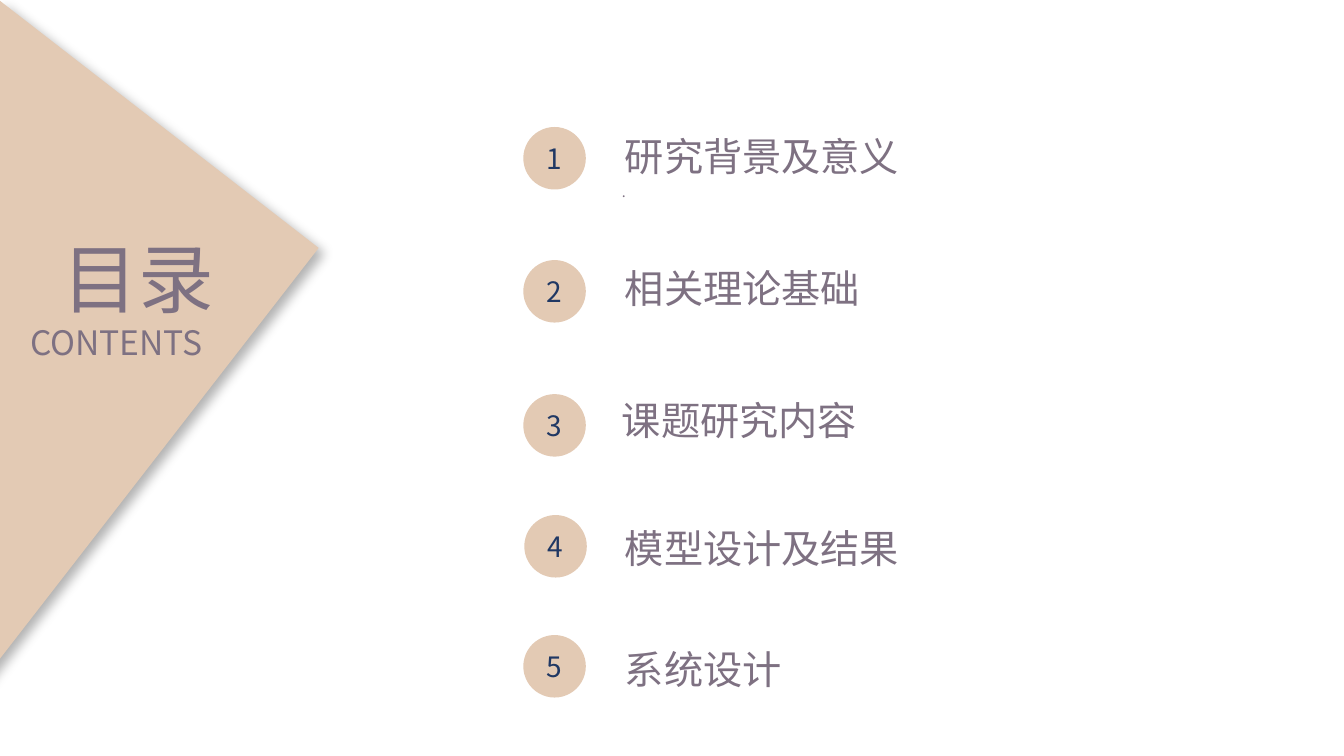
from dataclasses import dataclass

import pptx
import pptx.dml.color
import pptx.enum.shapes
import pptx.enum.text
import pptx.oxml
import pptx.oxml.ns
import pptx.util
from pptx.util import Inches


@dataclass(frozen=True)
class Theme:
    font: str = "Noto Sans CJK SC"
    sand: str = "E3CAB4"
    mauve: str = "7E7182"
    navy: str = "203864"
    title_size: int = 54
    subtitle_size: int = 24
    entry_size: int = 28
    number_size: int = 20
    dot_size: int = 10


THEME = Theme()
BADGE_SIZE = 0.62

# label, badge left and top, label left, top and width
ENTRIES = [
    ("研究背景及意义", 5.19, 1.26, 6.1, 1.26, 2.92),
    ("相关理论基础", 5.19, 2.58, 6.1, 2.57, 2.56),
    ("课题研究内容", 5.19, 3.91, 6.07, 3.88, 2.53),
    ("模型设计及结果", 5.2, 5.11, 6.1, 5.15, 2.95),
    ("系统设计", 5.19, 6.3, 6.1, 6.35, 1.77),
]


def write_text(shape, text, size, color=THEME.mauve, align="LEFT", anchor="TOP",
               wrap=False, grow=True):
    frame = shape.text_frame
    frame.word_wrap = wrap
    fit = pptx.enum.text.MSO_AUTO_SIZE
    frame.auto_size = fit.SHAPE_TO_FIT_TEXT if grow else fit.NONE
    frame.vertical_anchor = pptx.enum.text.MSO_ANCHOR[anchor]
    para = frame.paragraphs[0]
    para.alignment = pptx.enum.text.PP_ALIGN[align]
    span = para.add_run()
    span.text = text
    span.font.size = pptx.util.Pt(size)
    span.font.name = THEME.font
    span.font.color.rgb = pptx.dml.color.RGBColor.from_string(color)
    east_asian = pptx.oxml.parse_xml(
        f'<a:ea {pptx.oxml.ns.nsdecls("a")} typeface="{THEME.font}"/>')
    span.font._element.find(pptx.oxml.ns.qn("a:latin")).addnext(east_asian)


def add_title(page, text, left, top, width, height):
    title = page.shapes.title
    title.left, title.top = Inches(left), Inches(top)
    title.width, title.height = Inches(width), Inches(height)
    write_text(title, text, THEME.title_size)


def add_label(page, text, left, top, width, height, size):
    box = page.shapes.add_textbox(
        Inches(left), Inches(top), Inches(width), Inches(height))
    write_text(box, text, size)


def add_sand_shape(page, kind, left, top, width, height):
    shape = page.shapes.add_shape(
        pptx.enum.shapes.MSO_SHAPE[kind],
        Inches(left), Inches(top), Inches(width), Inches(height))
    shape.shadow.inherit = False
    shape.fill.solid()
    shape.fill.fore_color.rgb = pptx.dml.color.RGBColor.from_string(THEME.sand)
    shape.line.fill.background()
    return shape


def add_corner_triangle(page):
    """Add the turned triangle at the left edge, with its soft shadow."""
    triangle = add_sand_shape(page, "RIGHT_TRIANGLE", -3.19, 1.56, 5.91, 4.01)
    triangle.rotation = 127.8
    properties = triangle._element.spPr
    properties.find(pptx.oxml.ns.qn("a:xfrm")).set("flipV", "1")
    effects = properties.find(pptx.oxml.ns.qn("a:effectLst"))
    effects.append(pptx.oxml.parse_xml(
        f'<a:outerShdw {pptx.oxml.ns.nsdecls("a")} blurRad="{pptx.util.Pt(8)}" '
        f'dist="{pptx.util.Pt(6)}" dir="2700000" algn="tl" rotWithShape="0">'
        '<a:srgbClr val="000000"><a:alpha val="30000"/></a:srgbClr>'
        '</a:outerShdw>'))


def add_badge(page, number, left, top):
    badge = add_sand_shape(page, "OVAL", left, top, BADGE_SIZE, BADGE_SIZE)
    write_text(badge, str(number), THEME.number_size, color=THEME.navy,
               align="CENTER", anchor="MIDDLE", wrap=True, grow=False)


def main():
    deck = pptx.Presentation()
    deck.slide_width, deck.slide_height = Inches(13.33), Inches(7.5)
    page = deck.slides.add_slide(deck.slide_layouts.get_by_name("Title Only"))

    add_corner_triangle(page)
    # The title comes with the layout, so lift it above the triangle.
    page.shapes._spTree.append(page.shapes.title._element)
    add_title(page, "目录", 0.52, 2.25, 1.72, 1.01)
    add_label(page, "CONTENTS", 0.2, 3.14, 2.05, 0.5, THEME.subtitle_size)

    for number, entry in enumerate(ENTRIES, start=1):
        label, badge_left, badge_top, left, top, width = entry
        add_badge(page, number, badge_left, badge_top)
        add_label(page, label, left, top, width, 0.57, THEME.entry_size)
    add_label(page, ".", 6.07, 1.77, 0.27, 0.27, THEME.dot_size)

    deck.save("out.pptx")


if __name__ == "__main__":
    main()
